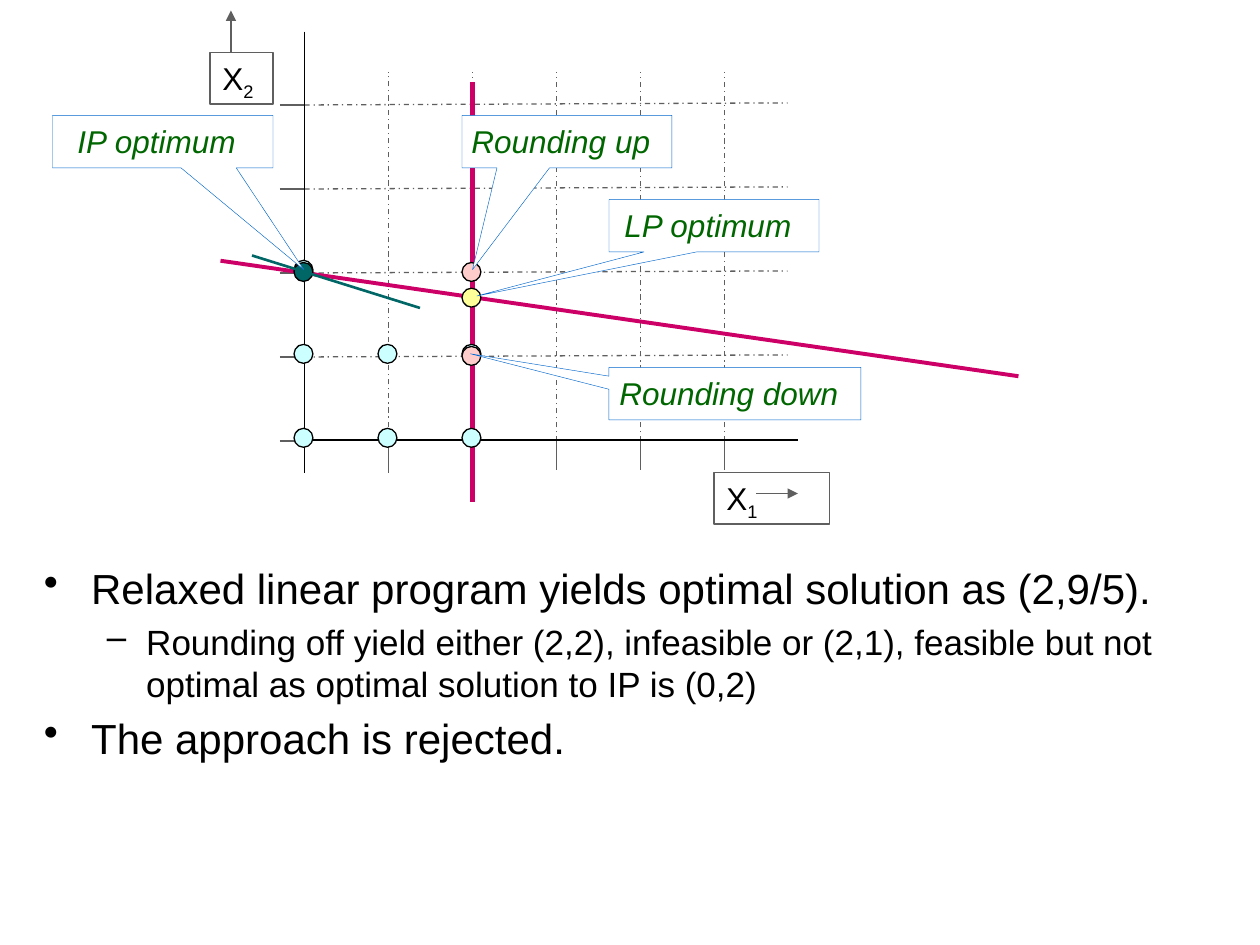
from pptx import Presentation, util as u
from pptx.dml.color import RGBColor
from pptx.enum import dml, shapes, text
from pptx.oxml.ns import qn
from lxml import etree

Pt = u.Pt
Shape = shapes.MSO_SHAPE


class Theme:
    font = "Arial"
    ink, grey, white = "000000", "5F5F5F", "FFFFFF"
    bound, goal, frame, label = "CC0066", "006666", "0066CC", "006600"
    open_dot, round_dot, lp_dot = "CCFFFF", "FFCCCC", "FFFF99"
    big, mid, small = 24, 20, 18
    thin, hair = 0.75, 0.25


# Lattice of integer points: origin and spacing
X0, Y0, STEP = 174, 252, 48


def col(i):
    return X0 + STEP * i


def row(j):
    return Y0 - STEP * j


def rgb(code):
    return RGBColor.from_string(code)


def put(obj, vals):
    for key, val in vals.items():
        setattr(obj, key, val)


class Pen:
    def __init__(self, theme, slide):
        self.t, self.slide = theme, slide

    def line(self, x1, y1, x2, y2, color=Theme.grey, width=Theme.thin,
             dash=False, arrow=False):
        ln = self.slide.shapes.add_connector(
            shapes.MSO_CONNECTOR.STRAIGHT, Pt(x1), Pt(y1), Pt(x2), Pt(y2))
        ln.line.color.rgb = rgb(color)
        ln.line.width = Pt(width)
        if dash:
            ln.line.dash_style = dml.MSO_LINE.DASH_DOT
        if arrow:
            end = etree.SubElement(ln.line._get_or_add_ln(), qn("a:tailEnd"))
            end.set("type", "triangle")
        etree.SubElement(ln._element.spPr, qn("a:effectLst"))

    def shape(self, kind, box, fill, color, width):
        shp = self.slide.shapes.add_shape(kind, *map(Pt, box))
        shp.shadow.inherit = False
        if fill:
            shp.fill.solid()
            shp.fill.fore_color.rgb = rgb(fill)
        else:
            shp.fill.background()
        shp.line.color.rgb = rgb(color)
        shp.line.width = Pt(width)
        return shp

    def run(self, para, words, size, color=Theme.ink, italic=False):
        run = para.add_run()
        run.text = words
        put(run.font, {"name": self.t.font, "size": Pt(size), "italic": italic})
        run.font.color.rgb = rgb(color)
        return run

    def dot(self, i, j, fill, drop=0):
        """Mark lattice point (i, j), moved down by drop points."""
        size = 10.8
        box = (col(i) - 6, row(j) - 7.2 + drop, size, size)
        self.shape(Shape.OVAL, box, fill, self.t.ink, self.t.thin)

    def axis(self, box, sub):
        """Box with the name X and a subscript."""
        shp = self.shape(Shape.RECTANGLE, box, None, self.t.grey, self.t.thin)
        put(shp.text_frame, {"vertical_anchor": text.MSO_ANCHOR.TOP,
                             "word_wrap": False})
        para = shp.text_frame.paragraphs[0]
        para.alignment = text.PP_ALIGN.LEFT
        self.run(para, "X", self.t.small)
        low = self.run(para, sub, self.t.small)
        low.font._element.set("baseline", "-25000")

    def callout(self, words, box, tip):
        shp = self.shape(Shape.RECTANGULAR_CALLOUT, box, self.t.white,
                         self.t.frame, self.t.hair)
        for k, val in enumerate(tip):
            shp.adjustments[k] = val
        put(shp.text_frame, {"margin_left": 0, "word_wrap": True,
                             "vertical_anchor": text.MSO_ANCHOR.TOP})
        para = shp.text_frame.paragraphs[0]
        para.alignment = text.PP_ALIGN.CENTER
        self.run(para, words, self.t.small, self.t.label, True)

    def bullets(self, box, items):
        frame = self.slide.shapes.add_textbox(*map(Pt, box)).text_frame
        frame.word_wrap = True
        styles = [("•", 27, 27, self.t.big), ("–", 58.5, 22.5, self.t.mid)]
        for k, (level, words) in enumerate(items):
            mark, left, hang, size = styles[level]
            para = frame.add_paragraph() if k else frame.paragraphs[0]
            para.level = level
            props = para._p.get_or_add_pPr()
            props.set("marL", str(Pt(left)))
            props.set("indent", str(-Pt(hang)))
            etree.SubElement(props, qn("a:buChar")).set("char", mark)
            if k:
                para.space_before = Pt(size * 0.2)
            self.run(para, words, size)


def main():
    deck = Presentation()
    put(deck, {"slide_width": Pt(720), "slide_height": Pt(540)})
    t = Theme()
    pen = Pen(t, deck.slides.add_slide(deck.slide_layouts[6]))

    # Grid and ticks
    for i in range(1, 6):
        x = col(i)
        pen.line(x, 252 if i == 1 else 268.5, x, 41, dash=True)
        pen.line(x, 270 if i == 1 else 266.5, x, 252)
    for j in range(5):
        pen.line(160, row(j), X0, row(j))
        if j:
            pen.line(X0, row(j), 450, row(j) - 1.2, dash=True)

    # Axes
    pen.line(X0, 251.5, 456, 251.5, t.ink)
    pen.line(X0, 18, X0, 270, t.ink)
    pen.axis((120, 30, 36, 29.5), "2")
    pen.line(132, 30, 132, 6, arrow=True)
    pen.axis((408, 270, 66, 29.5), "1")
    pen.line(432, 282, 456, 282, arrow=True)

    # Constraints
    pen.line(126, 149, 582, 215, t.bound, 2.25)
    pen.line(col(2), 47, col(2), 287, t.bound, 2.5)

    # Feasible points
    pen.dot(2, 1.7, t.lp_dot, 1.5)
    for i, j in [(0, 0), (1, 0), (2, 0), (2, 1), (1, 1), (0, 1), (0, 2)]:
        pen.dot(i, j, t.open_dot)

    pen.bullets((18, 318, 684, 210), [
        (0, "Relaxed linear program yields optimal solution as (2,9/5)."),
        (1, "Rounding off yield either (2,2), infeasible or (2,1), feasible "
            "but not optimal as optimal solution to IP is (0,2)"),
        (0, "The approach is rejected."),
    ])

    # Rounded points, best integer point and objective
    for i, j, fill in [(2, 2, t.round_dot), (2, 1, t.round_dot), (0, 2, t.goal)]:
        pen.dot(i, j, fill, 1.2)
    pen.line(144, 146, 240, 176, t.goal, 1.5)

    for words, x, y, wide, tip in [
        ("Rounding up", 264, 66, 120, (-0.45, 2.44)),
        ("LP optimum", 348, 114, 120, (-1.13, 1.34)),
        ("Rounding down", 348, 210, 144, (-1.05, -0.76)),
        ("IP optimum", 30, 66, 126, (0.64, 2.44)),
    ]:
        pen.callout(words, (x, y, wide, 30), tip)

    deck.save("out.pptx")


if __name__ == "__main__":
    main()
